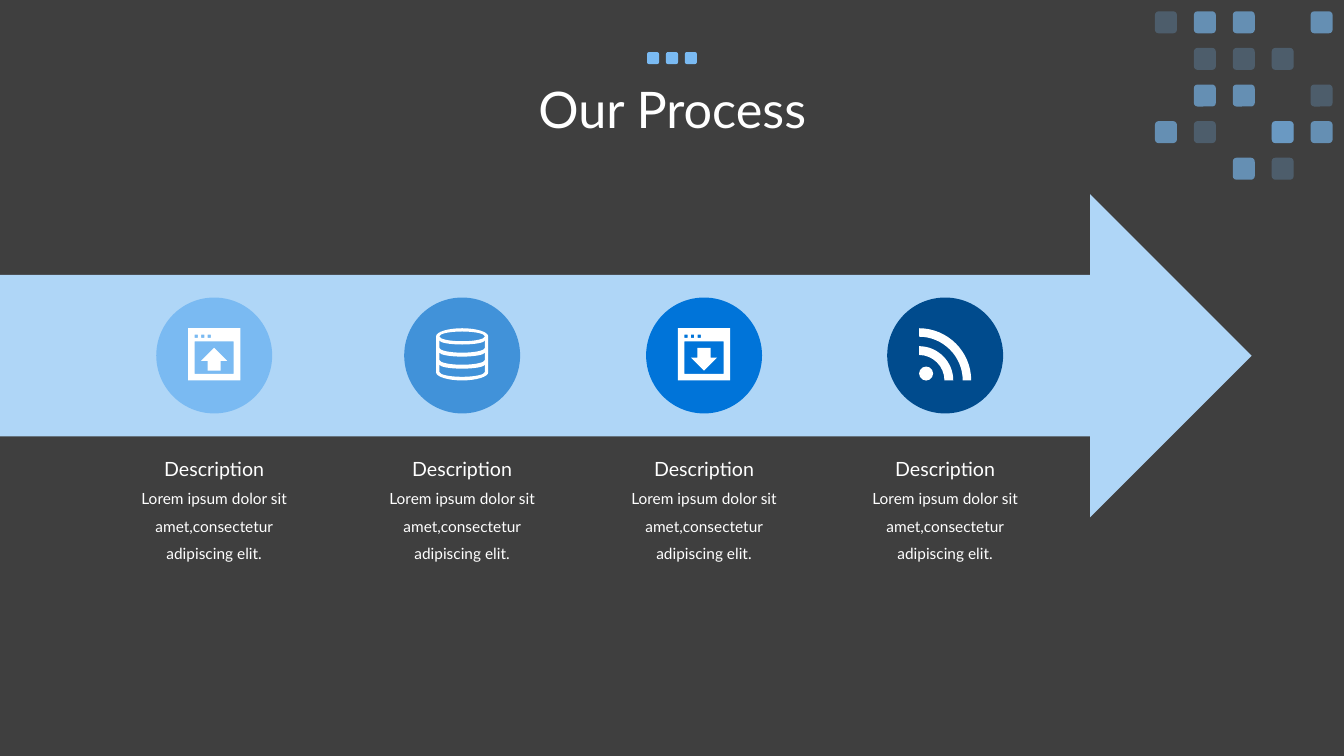
"""Build the "Our Process" slide: four steps along a wide arrow."""
import pptx
import pptx.dml.color
import pptx.enum.shapes
import pptx.enum.text
import pptx.oxml.ns
import pptx.util
from lxml import etree

Pt = pptx.util.Pt
qn = pptx.oxml.ns.qn
SHAPE = pptx.enum.shapes.MSO_SHAPE
ANCHOR = pptx.enum.text.MSO_ANCHOR
FIT = pptx.enum.text.MSO_AUTO_SIZE
WHITE = "FFFFFF"
SKY = "7ABAF2"


def paint(fill, colour):
    fill.solid()
    fill.fore_color.rgb = pptx.dml.color.RGBColor.from_string(colour)


def add_text(text, left, top, width, height, size, spacing=None, wrap=True,
             anchor=ANCHOR.TOP, fit=FIT.SHAPE_TO_FIT_TEXT):
    box = slide.shapes.add_textbox(Pt(left), Pt(top), Pt(width), Pt(height))
    box.text_frame.word_wrap = wrap
    box.text_frame.auto_size = fit
    box.text_frame.vertical_anchor = anchor
    paragraph = box.text_frame.paragraphs[0]
    paragraph.alignment = pptx.enum.text.PP_ALIGN.CENTER
    paragraph.line_spacing = spacing
    run = paragraph.add_run()
    run.text = text
    run.font.name = "Lato"
    run.font.size = Pt(size)
    paint(run.font.fill, WHITE)


deck = pptx.Presentation()
deck.slide_width, deck.slide_height = Pt(960), Pt(540)
slide = deck.slides.add_slide(deck.slide_layouts[6])
paint(slide.background.fill, "3F3F3F")

add_text("Our Process", 66.2, 28.1, 828, 104.4, 36, spacing=0.9, anchor=ANCHOR.MIDDLE, fit=FIT.NONE)

corner_opacity = [
    [[25], [65], [65], [], [65]],
    [[], [25], [25], [25], []],
    [[], [65], [65], [], [25]],
    [[65], [25], [], [65, 25], [65]],
    [[], [], [65], [25], []],
]
for row, opacities_in_row in enumerate(corner_opacity):
    for column, opacities in enumerate(opacities_in_row):
        for opacity in opacities:
            square = slide.shapes.add_shape(
                SHAPE.ROUNDED_RECTANGLE, Pt(825 + 27.8 * column), Pt(8.1 + 26.15 * row), Pt(15.7), Pt(15.7))
            paint(square.fill, SKY)
            tint = square.element.spPr.find(".//" + qn("a:srgbClr"))
            etree.SubElement(tint, qn("a:alpha"), val=str(opacity * 1000))

for index in range(3):
    title_dot = slide.shapes.add_shape(
        SHAPE.ROUNDED_RECTANGLE, Pt(462.2 + 13.5 * index), Pt(37.2), Pt(8.6), Pt(8.6))
    paint(title_dot.fill, SKY)

process_arrow = slide.shapes.add_shape(
    SHAPE.NOTCHED_RIGHT_ARROW, Pt(-58.3), Pt(138.7), Pt(952.3), Pt(230.8))
paint(process_arrow.fill, "AFD6F7")

window = [[(-8, -8), (8, -8), (8, 8), (-8, 8)], [(-6, -4), (6, -4), (6, 6), (-6, 6)]]
window += [[(x, -6), (x + 1, -6), (x + 1, -5), (x, -5)] for x in (-6, -4, -2)]
up_arrow = [(0, -2), (4, 2), (2, 2), (2, 5), (-2, 5), (-2, 2), (-4, 2)]
down_arrow = [(x, 3 - y) for x, y in up_arrow]

bend = 0.55
quarter = [(1, 0), (1, -bend), (bend, -1), (0, -1)]
half = [(1, 0), (1, bend), (bend, 1), (0, 1), (-bend, 1), (-1, bend), (-1, 0)]

database = [
    [(8 * x, 5.5 + 2.5 * y) for x, y in half] + [(-8, -5.5)] * 2
    + [(-8 * x, -5.5 - 2.5 * y) for x, y in half],
    [(7 * x, -5.5 + 1.5 * y) for x, y in half]
    + [(-7 * x, -5.5 - 1.5 * y) for x, y in half[1:]],
]
for band in (0, 3.7, 7.4):
    database.append([(7 * x, band - 4.3 + 1.3 * y) for x, y in half] + [(-7, band - 2)] * 2
                    + [(7 * x, band - 2 + 1.5 * y) for x, y in reversed(half)])

feed_waves = [
    [(outer * x - 8, outer * y + 8) for x, y in quarter] + [(-8, 8 - inner)] * 2
    + [(inner * x - 8, inner * y + 8) for x, y in reversed(quarter)]
    for outer, inner in ((10.5, 7.8), (16, 13.4))
]

steps = [
    (153, SKY, [window, [up_arrow]], False),
    (330.1, "4192D9", [database], True),
    (502.9, "0074D9", [window, [down_arrow]], False),
    (675.1, "004B8D", [feed_waves[:1], feed_waves[1:]], True),
]
icon_middle, icon_unit = 253.1, 2.33
for center, colour, icon, curved in steps:
    circle = slide.shapes.add_shape(SHAPE.OVAL, Pt(center - 41.4), Pt(212.5), Pt(82.8), Pt(82.8))
    paint(circle.fill, colour)
    for part in icon:
        outlines = [[(Pt(center + icon_unit * x), Pt(icon_middle + icon_unit * y)) for x, y in outline]
                    for outline in part]
        builder = slide.shapes.build_freeform(*outlines[0][0])
        builder.add_line_segments(outlines[0][1:], close=True)
        for outline in outlines[1:]:
            builder.move_to(*outline[0])
            builder.add_line_segments(outline[1:], close=True)
        drawing = builder.convert_to_shape()
        paint(drawing.fill, WHITE)
        if curved:
            segments = list(drawing.element.iter(qn("a:lnTo")))
            for curve, *controls in zip(segments[::3], segments[1::3], segments[2::3]):
                curve.tag = qn("a:cubicBezTo")
                for control in controls:
                    curve.append(control[0])
                    control.getparent().remove(control)
    add_text("Description", center - 45, 322.6, 90, 24.5, 14, wrap=False)
    add_text("Lorem ipsum dolor sit amet,consectetur adipiscing elit.",
             center - 71.3, 339.1, 142.6, 64.8, 11, spacing=1.5)

feed_dot = slide.shapes.add_shape(SHAPE.OVAL, Pt(656.5), Pt(261.8), Pt(10), Pt(10))
paint(feed_dot.fill, WHITE)

for shape in slide.shapes:
    shape.shadow.inherit = False
    shape.line.fill.background()

deck.save("out.pptx")
